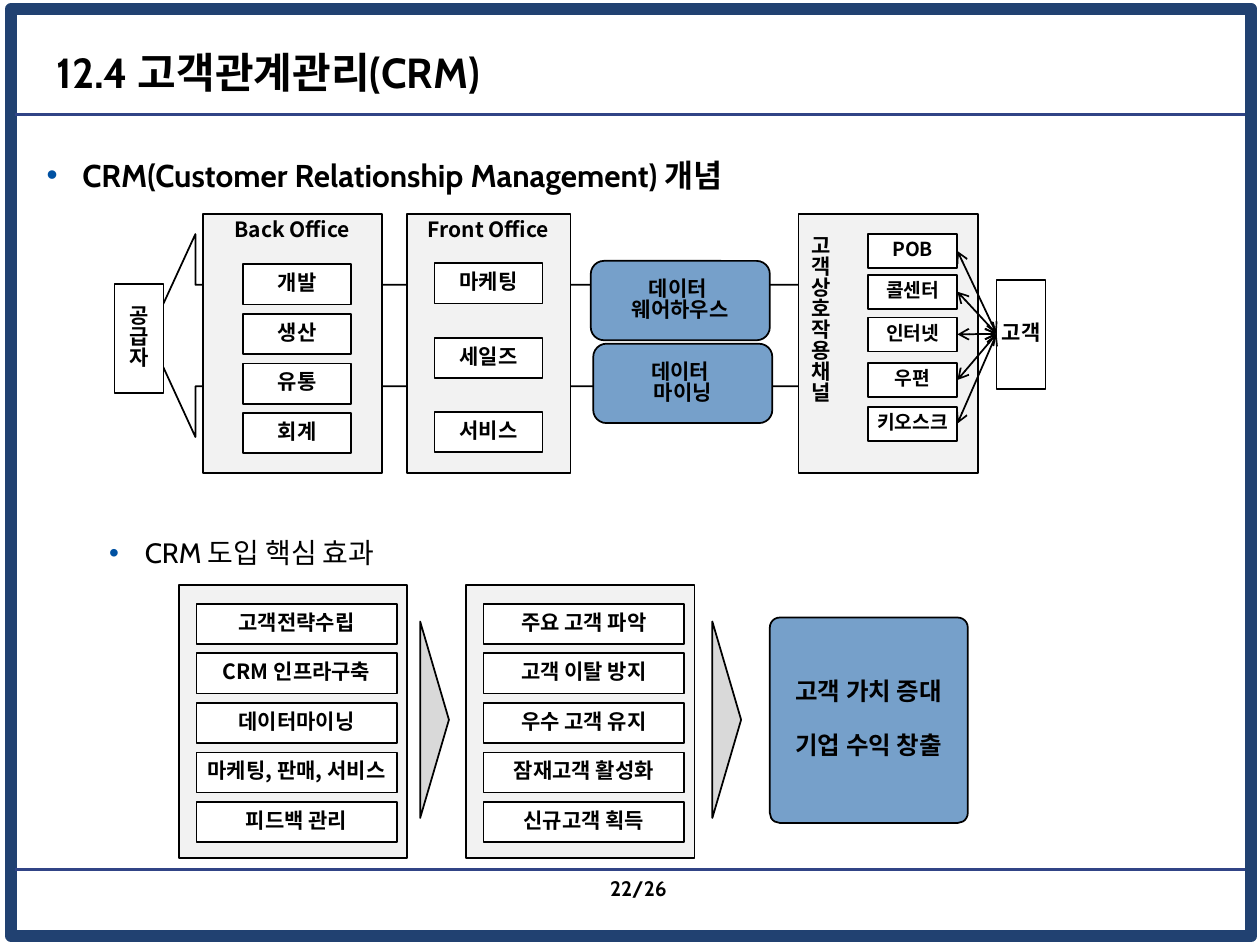
"""Builds the CRM concept and key effects slide."""
from dataclasses import dataclass

from lxml import etree
from pptx import Presentation
from pptx.dml.color import RGBColor
from pptx.enum.shapes import MSO_CONNECTOR, MSO_SHAPE
from pptx.enum.text import MSO_ANCHOR, PP_ALIGN
from pptx.oxml.ns import qn
from pptx.util import Cm, Pt

RECT, ROUND = MSO_SHAPE.RECTANGLE, MSO_SHAPE.ROUNDED_RECTANGLE
ARROW, TRIANGLE = MSO_SHAPE.LEFT_ARROW, MSO_SHAPE.ISOSCELES_TRIANGLE
STRAIGHT = MSO_CONNECTOR.STRAIGHT
TOP, MIDDLE = MSO_ANCHOR.TOP, MSO_ANCHOR.MIDDLE
LEFT, CENTER, RIGHT = PP_ALIGN.LEFT, PP_ALIGN.CENTER, PP_ALIGN.RIGHT
LATIN, KOREAN = "Cabin", "Noto Sans CJK KR"
BLACK, WHITE, PANEL, BLUE = "000000", "FFFFFF", "F2F2F2", "76A0CA"
GRAY, FRAME, RULE, BULLET = "D9D9D9", "214171", "314486", "0051A2"


@dataclass
class Box:
    x: float
    y: float
    w: float
    h: float
    text: str = ""
    fill: str | None = WHITE
    kind: MSO_SHAPE = RECT
    size: int = 12
    anchor: MSO_ANCHOR = MIDDLE
    adj: tuple[float, ...] = ()
    rotation: int = 0
    gap: int = 0
    line: str = BLACK
    weight: int = 1


@dataclass
class Column:
    x: float
    w: float
    h: float
    tops: list[float]
    labels: list[str]
    size: int = 12


@dataclass
class Label:
    x: float
    y: float
    w: float
    h: float
    text: str
    size: int
    font: str = LATIN
    bold: bool = True
    align: PP_ALIGN = LEFT
    anchor: MSO_ANCHOR = TOP
    indent: float = 0


def rgb(color: str) -> RGBColor:
    return RGBColor.from_string(color)


def steps(top: float, pitch: float, count: int) -> list[float]:
    return [top + pitch * i for i in range(count)]


def write(p, text: str, size: int, font: str, bold: bool, align: PP_ALIGN) -> None:
    p.alignment = align
    if font == KOREAN:
        p.line_spacing = 0.83
    for i, part in enumerate(text.split("\v")):
        if i:
            p.add_line_break()
        r = p.add_run()
        r.text = part
        r.font.name, r.font.size, r.font.bold = font, Pt(size), bold
        r.font.color.rgb = rgb(BLACK)
        etree.SubElement(r.font._element, qn("a:ea"), typeface=KOREAN)


def draw_box(s, b: Box) -> None:
    sp = s.shapes.add_shape(b.kind, Cm(b.x), Cm(b.y), Cm(b.w), Cm(b.h))
    sp.shadow.inherit = False
    sp.rotation = b.rotation
    for i, value in enumerate(b.adj):
        sp.adjustments[i] = value
    if b.fill:
        sp.fill.solid()
        sp.fill.fore_color.rgb = rgb(b.fill)
    else:
        sp.fill.background()
    sp.line.color.rgb = rgb(b.line)
    sp.line.width = Pt(b.weight)
    if not b.text:
        return
    tf = sp.text_frame
    tf.word_wrap = False
    tf.vertical_anchor = b.anchor
    for i, text in enumerate(b.text.split("\n")):
        p = tf.add_paragraph() if i else tf.paragraphs[0]
        if i:
            p.space_before = Pt(b.gap)
        write(p, text, b.size, KOREAN, True, CENTER)


def draw_column(s, c: Column) -> None:
    for top, label in zip(c.tops, c.labels):
        draw_box(s, Box(c.x, top, c.w, c.h, label, size=c.size))


def draw_label(s, t: Label) -> None:
    tf = s.shapes.add_textbox(Cm(t.x), Cm(t.y), Cm(t.w), Cm(t.h)).text_frame
    tf.word_wrap = True
    tf.vertical_anchor = t.anchor
    p = tf.paragraphs[0]
    write(p, t.text, t.size, t.font, t.bold, t.align)
    if t.indent:
        p.line_spacing, p.space_before = 1.4, Pt(4)
        pPr = p._p.get_or_add_pPr()
        pPr.set("marL", str(Cm(t.indent)))
        pPr.set("indent", str(Cm(-0.72)))
        color = etree.SubElement(pPr, qn("a:buClr"))
        etree.SubElement(color, qn("a:srgbClr"), val=BULLET)
        etree.SubElement(pPr, qn("a:buFont"), typeface="Arial")
        etree.SubElement(pPr, qn("a:buChar"), char="•")


def draw_line(s, x1: float, y1: float, x2: float, y2: float,
              color: str, weight: int, arrows: bool = False) -> None:
    cx = s.shapes.add_connector(STRAIGHT, Cm(x1), Cm(y1), Cm(x2), Cm(y2))
    cx.line.color.rgb = rgb(color)
    cx.line.width = Pt(weight)
    if arrows:
        for tag in ("a:headEnd", "a:tailEnd"):
            etree.SubElement(cx.line._get_or_add_ln(), qn(tag), type="arrow")
    etree.SubElement(cx._element.spPr, qn("a:effectLst"))


def main() -> None:
    prs = Presentation()
    prs.slide_width, prs.slide_height = Cm(25.4), Cm(19.05)
    s = prs.slides.add_slide(prs.slide_layouts[6])

    draw_box(s, Box(0.23, 0.18, 24.99, 18.69, fill=None, line=FRAME, weight=7))
    for y in (2.31, 17.53):
        draw_line(s, 0.3, y, 25.1, y, RULE, 2)

    for box in (
        Box(3, 4.72, 15.11, 4.09, kind=ARROW, adj=(0.5, 0.23)),
        Box(2.31, 5.72, 0.99, 2.21, "공\v급\v자"),
        Box(20.09, 5.64, 0.99, 2.21, "고객"),
        Box(4.09, 4.32, 3.61, 5.21, "Back Office", PANEL, anchor=TOP),
        Box(8.2, 4.32, 3.3, 5.21, "Front Office", PANEL, anchor=TOP),
        Box(16.1, 4.32, 3.61, 5.21, fill=PANEL),
        Box(11.91, 5.26, 3.61, 1.6, "데이터 \n웨어하우스", BLUE, ROUND),
        Box(11.96, 6.93, 3.61, 1.6, "데이터 \n마이닝", BLUE, ROUND),
        Box(15.52, 12.45, 3.99, 4.14, "고객 가치 증대\n기업 수익 창출", BLUE, ROUND,
            size=14, adj=(0.05,), gap=17),
        Box(3.61, 11.79, 4.6, 5.51, fill=PANEL),
        Box(9.4, 11.79, 4.6, 5.51, fill=PANEL),
        Box(6.78, 14.22, 3.96, 0.58, fill=GRAY, kind=TRIANGLE, rotation=90),
        Box(12.67, 14.22, 3.96, 0.58, fill=GRAY, kind=TRIANGLE, rotation=90),
    ):
        draw_box(s, box)

    channel_tops = [4.72, 5.54, 6.4, 7.32, 8.2]
    effect_tops = steps(12.17, 1, 5)
    for column in (
        Column(4.9, 2.18, 0.81, steps(5.33, 1, 4), ["개발", "생산", "유통", "회계"]),
        Column(8.76, 2.18, 0.81, steps(5.31, 1.5, 3), ["마케팅", "세일즈", "서비스"]),
        Column(17.5, 1.8, 0.69, channel_tops,
               ["POB", "콜센터", "인터넷", "우편", "키오스크"], 11),
        Column(3.96, 4.04, 0.81, effect_tops,
               ["고객전략수립", "CRM 인프라구축", "데이터마이닝",
                "마케팅, 판매, 서비스", "피드백 관리"]),
        Column(9.75, 4.04, 0.81, effect_tops,
               ["주요 고객 파악", "고객 이탈 방지", "우수 고객 유지",
                "잠재고객 활성화", "신규고객 획득"]),
    ):
        draw_column(s, column)
    for top in channel_tops:
        draw_line(s, 19.3, top + 0.34, 20.09, 6.73, BLACK, 1, arrows=True)

    for label in (
        Label(0.89, 0.76, 19.81, 1.37, "12.4 고객관계관리(CRM)", 24, anchor=MIDDLE),
        Label(0.69, 2.72, 23.42, 1.3,
              "CRM(Customer Relationship Management) 개념", 18, indent=0.72),
        Label(0.69, 10.41, 23.42, 1.2, "CRM 도입 핵심 효과", 16, bold=False, indent=1.98),
        Label(16.1, 4.65, 0.84, 4.37, "고객상호작용채널", 12, KOREAN),
        Label(11.68, 17.53, 2.01, 0.76, "22/26", 12, align=RIGHT),
    ):
        draw_label(s, label)
    prs.save("out.pptx")


if __name__ == "__main__":
    main()
